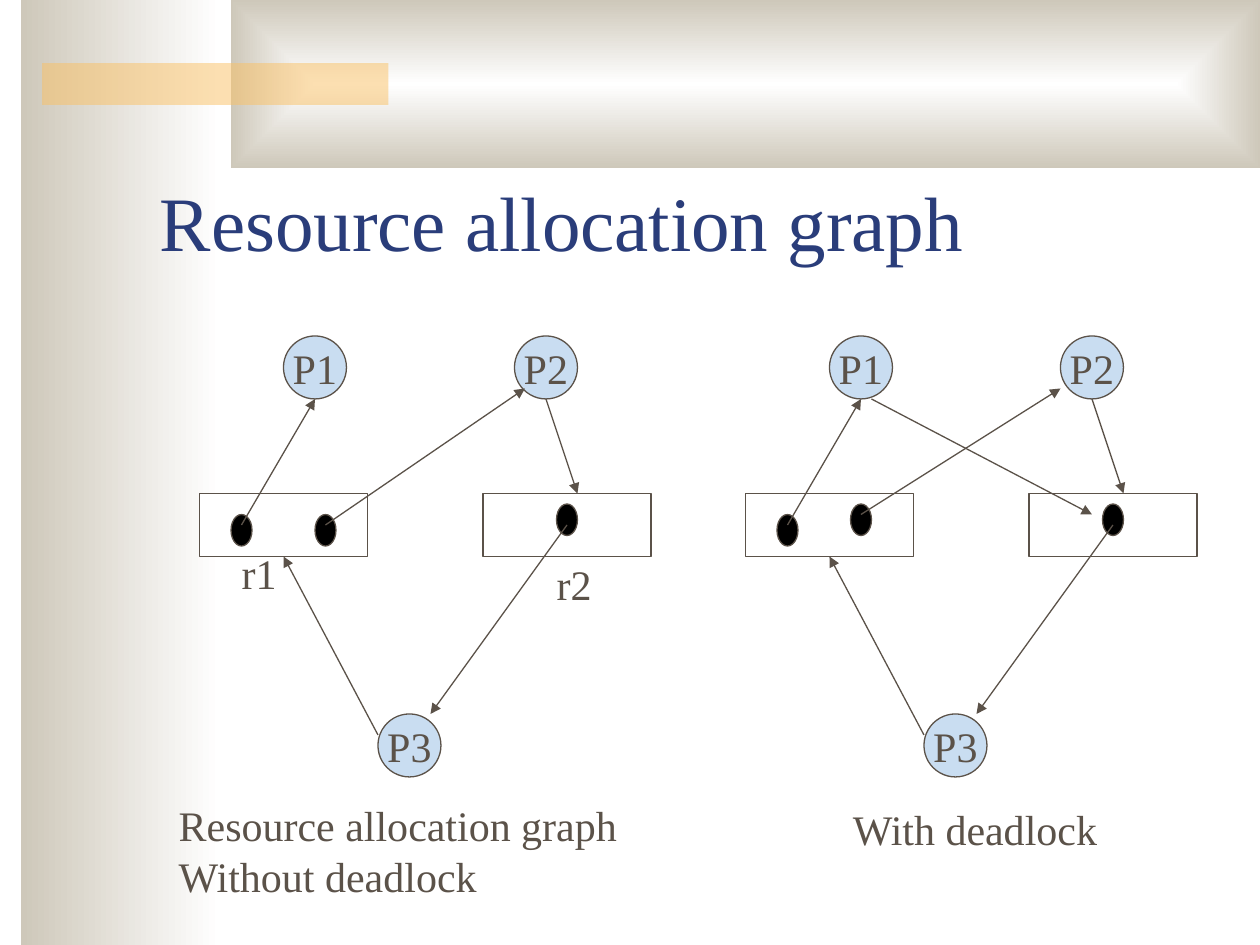
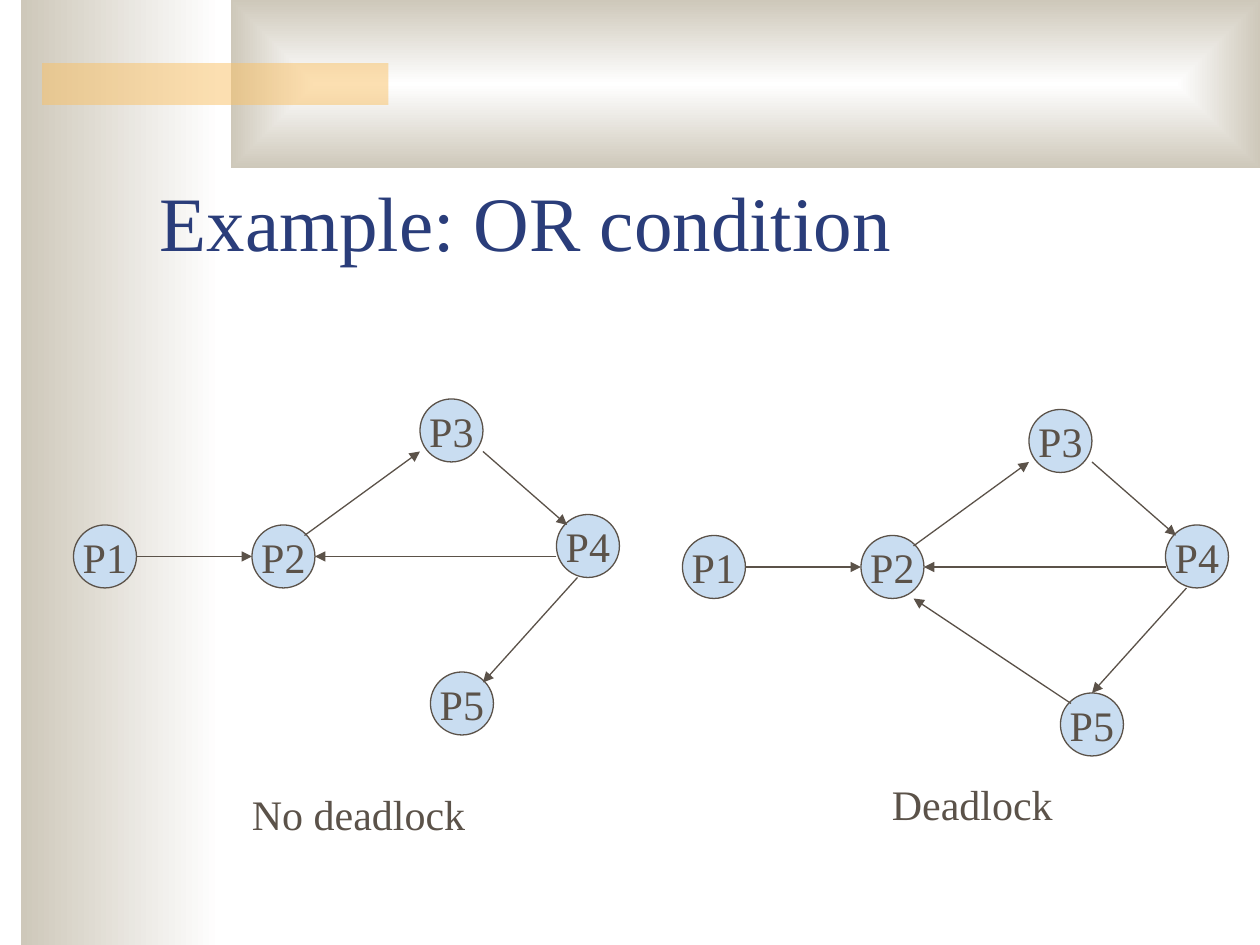
"""Build two slides of resource allocation and wait-for graphs for deadlocks."""
from lxml.etree import SubElement
from pptx import Presentation
from pptx.dml.color import RGBColor
from pptx.enum.shapes import MSO_CONNECTOR as Connector, MSO_SHAPE as Shape
from pptx.enum.text import MSO_ANCHOR as Anchor, MSO_AUTO_SIZE as AutoSize, PP_ALIGN as Align
from pptx.oxml.ns import qn
from pptx.util import Inches, Pt

FONT = "Times New Roman"
INK, TITLE_BLUE, NODE_BLUE = "5B5249", "2A3D7A", "C9DDF1"
WHITE, BLACK, SAND, AMBER = "FFFFFF", "000000", "CEC8BA", "FAC164"
CELLS_PER_INCH = 12
hue = RGBColor.from_string


def add_block(page, kind, frame, fill, outlined=True):
    """Add a filled preset shape; frame is in grid cells."""
    block = page.shapes.add_shape(kind, *[Inches(n / CELLS_PER_INCH) for n in frame])
    block.shadow.inherit = False
    if isinstance(fill, str):
        block.fill.solid()
        block.fill.fore_color.rgb = hue(fill)
    else:
        block.fill.gradient()
        for stop, colour in zip(block.fill.gradient_stops, fill):
            stop.color.rgb = hue(colour)
    if outlined:
        block.line.color.rgb = hue(INK)
        block.line.width = Pt(0.75)
    else:
        block.line.fill.background()
    return block


def write(box, lines, size=24, colour=INK, align=Align.LEFT, anchor=Anchor.TOP, wrap=False):
    """Fill a shape with one paragraph per line."""
    frame = box.text_frame
    frame.word_wrap = wrap
    frame.vertical_anchor = anchor
    for number, line in enumerate(lines):
        para = frame.add_paragraph() if number else frame.paragraphs[0]
        para.alignment = align
        span = para.add_run()
        span.text = line
        span.font.name = FONT
        span.font.size = Pt(size)
        span.font.color.rgb = hue(colour)


resource_nodes = {"P1": (27, 32), "P2": (49, 32), "P3": (36, 68)}
resource_boxes = [(19, 47), (46, 47)]
resource_arrows = [
    (23, 50, 30, 38), (52, 38, 55, 47), (54, 50, 41, 68), (36, 70, 27, 53),
]
wait_nodes = {"P1": (7, 50), "P2": (24, 50), "P3": (40, 38), "P4": (53, 49)}
wait_arrows = [
    (13, 53, 24, 53), (29, 51, 40, 43), (46, 43, 54, 50),
    (53, 53, 30, 53), (55, 55, 46, 65),
]

slides = [
    {
        "title": "Resource allocation graph",
        "graphs": [
            {
                "shift": (0, 0),
                "nodes": resource_nodes,
                "boxes": resource_boxes,
                "dots": [(22, 49), (30, 49), (53, 48)],
                "arrows": resource_arrows + [(31, 50, 50, 37)],
            },
            {
                "shift": (52, 0),
                "nodes": resource_nodes,
                "boxes": resource_boxes,
                "dots": [(22, 49), (29, 48), (53, 48)],
                "arrows": resource_arrows + [(30, 49, 49, 37), (31, 38, 52, 49)],
            },
        ],
        "captions": [
            ((1.82, 4.3, 0.5, 0.5), ["r1"]),
            ((4.32, 4.38, 0.5, 0.5), ["r2"]),
            ((1.32, 6.3, 3.7, 0.9), ["Resource allocation graph", "Without deadlock"]),
            ((6.67, 6.33, 2.17, 0.5), ["With deadlock"]),
        ],
    },
    {
        "title": "Example: OR condition",
        "graphs": [
            {
                "shift": (0, 0),
                "nodes": wait_nodes | {"P5": (41, 64)},
                "boxes": [],
                "dots": [],
                "arrows": wait_arrows,
            },
            {
                "shift": (58, 1),
                "nodes": wait_nodes | {"P5": (43, 65)},
                "boxes": [],
                "dots": [],
                "arrows": wait_arrows + [(44, 66, 29, 56)],
            },
        ],
        "captions": [
            ((1.9, 6.21, 1.92, 0.5), ["No deadlock"]),
            ((6.98, 6.13, 1.5, 0.5), ["Deadlock"]),
        ],
    },
]

deck = Presentation()
deck.slide_width, deck.slide_height = Inches(10), Inches(7.5)

for content in slides:
    page = deck.slides.add_slide(deck.slide_layouts[6])
    page.background.fill.solid()
    page.background.fill.fore_color.rgb = hue(WHITE)

    side_band = add_block(page, Shape.RECTANGLE, (2, 0, 19, 90), (WHITE, SAND), False)
    side_band.fill.gradient_angle = 180

    top_band = add_block(page, Shape.RECTANGLE, (22, 0, 98, 16), (WHITE, SAND), False)
    gradient = top_band.element.spPr.find(qn("a:gradFill"))
    gradient.remove(gradient.find(qn("a:lin")))
    path_fill = SubElement(gradient, qn("a:path"), path="rect")
    SubElement(path_fill, qn("a:fillToRect"), {side: "50000" for side in "ltrb"})

    accent = add_block(page, Shape.RECTANGLE, (4, 6, 33, 4), AMBER, False)
    accent_colour = accent.element.spPr.find(qn("a:solidFill"))[0]
    SubElement(accent_colour, qn("a:alpha"), val="50000")

    title = page.shapes.add_textbox(Inches(1.17), Inches(0.92), Inches(8.5), Inches(1.25))
    write(title, [content["title"]], 44, TITLE_BLUE, anchor=Anchor.BOTTOM, wrap=True)

    for graph in content["graphs"]:
        right, down = graph["shift"]
        for name, (x, y) in graph["nodes"].items():
            node = add_block(page, Shape.FLOWCHART_CONNECTOR, (x + right, y + down, 6, 6), NODE_BLUE)
            write(node, [name], align=Align.CENTER, anchor=Anchor.MIDDLE)
        for x, y in graph["boxes"]:
            add_block(page, Shape.RECTANGLE, (x + right, y + down, 16, 6), WHITE)
        for x, y in graph["dots"]:
            add_block(page, Shape.FLOWCHART_CONNECTOR, (x + right, y + down, 2, 3), BLACK)
        for x1, y1, x2, y2 in graph["arrows"]:
            ends = (x1 + right, y1 + down, x2 + right, y2 + down)
            arrow = page.shapes.add_connector(
                Connector.STRAIGHT, *[Inches(n / CELLS_PER_INCH) for n in ends]
            )
            arrow.line.color.rgb = hue(INK)
            arrow.line.width = Pt(0.75)
            SubElement(arrow.element.spPr.find(qn("a:ln")), qn("a:tailEnd"), type="triangle")
            SubElement(arrow.element.spPr, qn("a:effectLst"))

    for frame, lines in content["captions"]:
        caption = page.shapes.add_textbox(*[Inches(n) for n in frame])
        write(caption, lines)
        caption.text_frame.auto_size = AutoSize.SHAPE_TO_FIT_TEXT

deck.save("out.pptx")
